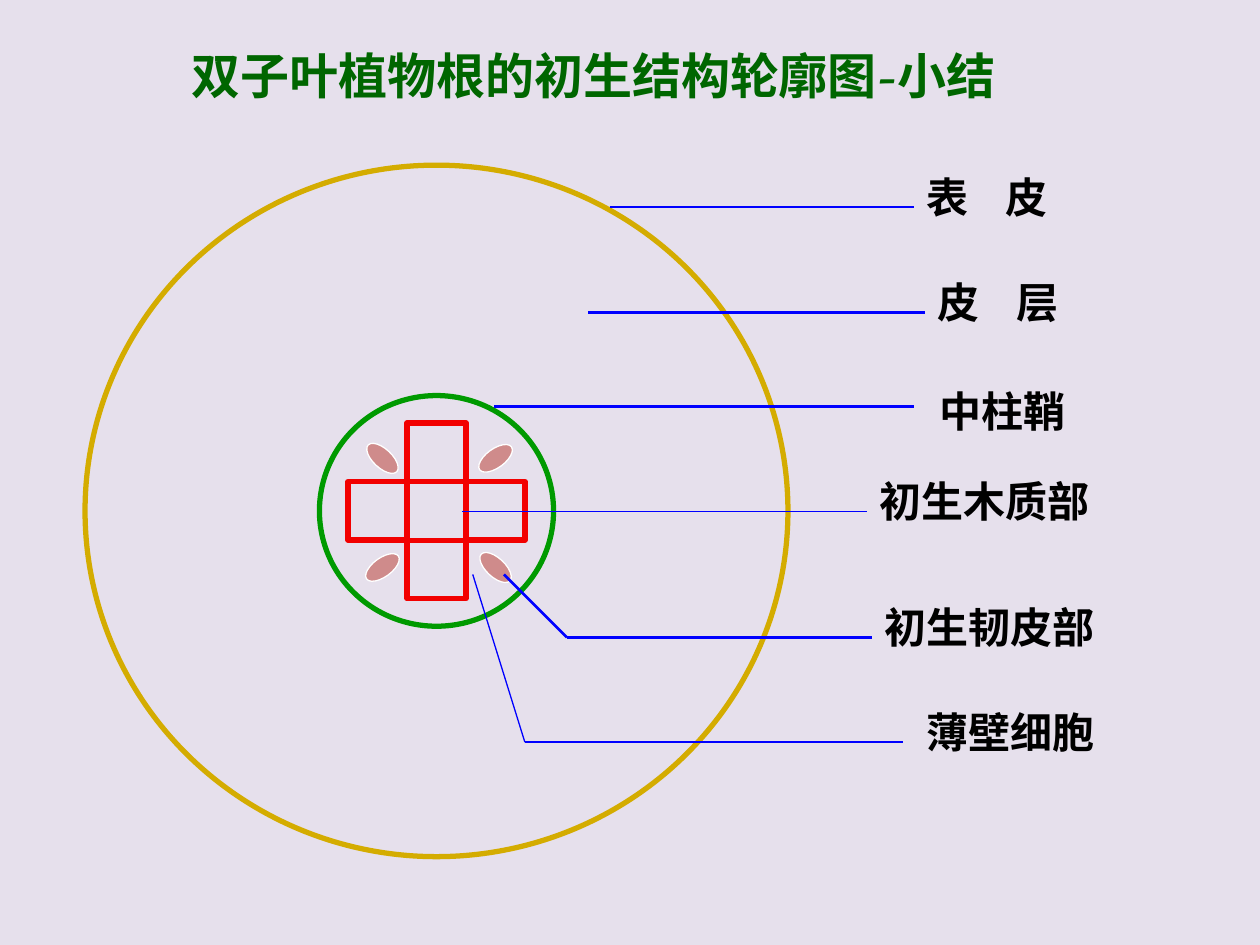
from itertools import pairwise, product

from lxml.etree import SubElement
from pptx import Presentation
from pptx.dml.color import RGBColor
from pptx.enum.shapes import MSO_CONNECTOR as Link, MSO_SHAPE as Kind
from pptx.enum.text import MSO_ANCHOR as Anchor, PP_ALIGN as Align
from pptx.oxml.ns import qn
from pptx.util import Cm, Pt


def paint(code):
    return RGBColor.from_string(code)


class Board:
    """Style and current slide; all lengths are in centimetres."""
    back, ink, blue = "E6E0EC", "000000", "0000FF"
    green, gold, ring = "006600", "D4AC00", "009A00"
    red, pink, white = "F20000", "CF8B8B", "FFFFFF"
    head, body = "Vollkorn", "Arial"

    def __init__(self, deck):
        self.slide = deck.slides.add_slide(deck.slide_layouts[5])
        fill = self.slide.background.fill
        fill.solid()
        fill.fore_color.rgb = paint(self.back)

    def text(self, para, words, face, size, color):
        run = para.add_run()
        run.text = words
        font = run.font
        font.name, font.size, font.bold = face, Pt(size), True
        font.color.rgb = paint(color)
        return run

    def title(self, words, left, top, width, height):
        box = self.slide.shapes.title
        box.left, box.top = Cm(left), Cm(top)
        box.width, box.height = Cm(width), Cm(height)
        frame = box.text_frame
        frame.margin_left = frame.margin_right = Cm(0.2)
        frame.margin_top = frame.margin_bottom = Cm(0.08)
        frame.vertical_anchor = Anchor.MIDDLE
        para = frame.paragraphs[0]
        para.alignment = Align.CENTER
        run = self.text(para, words, self.head, 28, self.green)
        # Black text shadow, placed right after the fill colour
        props = run.font._element
        glow = SubElement(props, qn("a:effectLst"))
        props.find(qn("a:solidFill")).addnext(glow)
        shade = SubElement(glow, qn("a:outerShdw"), dist="35921", dir="2700000")
        SubElement(shade, qn("a:srgbClr"), val=self.ink)

    def shape(self, kind, mid, size, line, weight, fill=None, turn=0):
        (x, y), (w, h) = mid, size
        item = self.slide.shapes.add_shape(
            kind, Cm(x - w / 2), Cm(y - h / 2), Cm(w), Cm(h))
        item.shadow.inherit = False
        item.rotation = turn
        item.line.color.rgb = paint(line)
        item.line.width = Pt(weight)
        if fill:
            item.fill.solid()
            item.fill.fore_color.rgb = paint(fill)
        else:
            item.fill.background()

    def lead(self, points, weight):
        for start, end in pairwise(points):
            line = self.slide.shapes.add_connector(
                Link.STRAIGHT, *map(Cm, start + end))
            line.line.color.rgb = paint(self.blue)
            line.line.width = Pt(weight)
            SubElement(line._element.spPr, qn("a:effectLst"))

    def label(self, words, left, top, width):
        box = self.slide.shapes.add_textbox(
            Cm(left), Cm(top), Cm(width), Cm(1.27))
        frame = box.text_frame
        frame.word_wrap = True
        para = frame.paragraphs[0]
        if "\t" in words:
            tabs = SubElement(para._p.get_or_add_pPr(), qn("a:tabLst"))
            SubElement(tabs, qn("a:tab"), pos=str(Cm(1.61)), algn="l")
        self.text(para, words, self.body, 24, self.ink)


def main():
    deck = Presentation()
    deck.slide_width, deck.slide_height = Cm(25.4), Cm(19.05)
    board = Board(deck)
    board.title("双子叶植物根的初生结构轮廓图-小结", 2.34, 0.84, 19.25, 1.35)

    # Outer skin and inner ring
    x, y = 8.8, 10.3
    board.shape(Kind.OVAL, (x, y), (14.17, 13.94), board.gold, 3)
    board.shape(Kind.OVAL, (x, y), (4.72, 4.65), board.ring, 3)

    # Four arms of the cross
    arm = (1.19, 1.18)
    for dx, dy in ((-1, 0), (1, 0), (0, -1), (0, 1)):
        mid = (x + dx * arm[0], y + dy * arm[1])
        board.shape(Kind.RECTANGLE, mid, arm, board.red, 3)

    # Four ovals between the arms
    for dx, dy in product((-1, 1), repeat=2):
        board.shape(Kind.OVAL, (x + 0.05 + dx * 1.14, y + 0.04 + dy * 1.1),
                    (0.38, 0.79), board.white, 0.75, board.pink,
                    313 if dx == dy else 54)

    # Labels (text, left, top, width) with leader points and weight
    parts = (
        (("表\t皮", 18.42, 3.33, 4.88),
         ((12.29, 4.17), (18.42, 4.17)), 1.5),
        (("皮\t层", 18.64, 5.44, 4.88),
         ((11.86, 6.3), (18.64, 6.3)), 1.5),
        (("中柱鞘", 18.7, 7.65, 4.88),
         ((9.96, 8.2), (18.42, 8.2)), 1.5),
        (("初生木质部", 17.48, 9.47, 6.45),
         ((9.32, 10.31), (17.48, 10.31)), 0.75),
        (("初生韧皮部", 17.58, 12.01, 6.99),
         ((10.16, 11.58), (11.43, 12.85), (17.58, 12.85)), 1.5),
        (("薄壁细胞", 18.42, 14.12, 5.08),
         ((9.53, 11.58), (10.58, 14.96), (18.21, 14.96)), 0.75),
    )
    for note, points, weight in parts:
        board.lead(points, weight)
        board.label(*note)

    deck.save("out.pptx")


if __name__ == "__main__":
    main()
